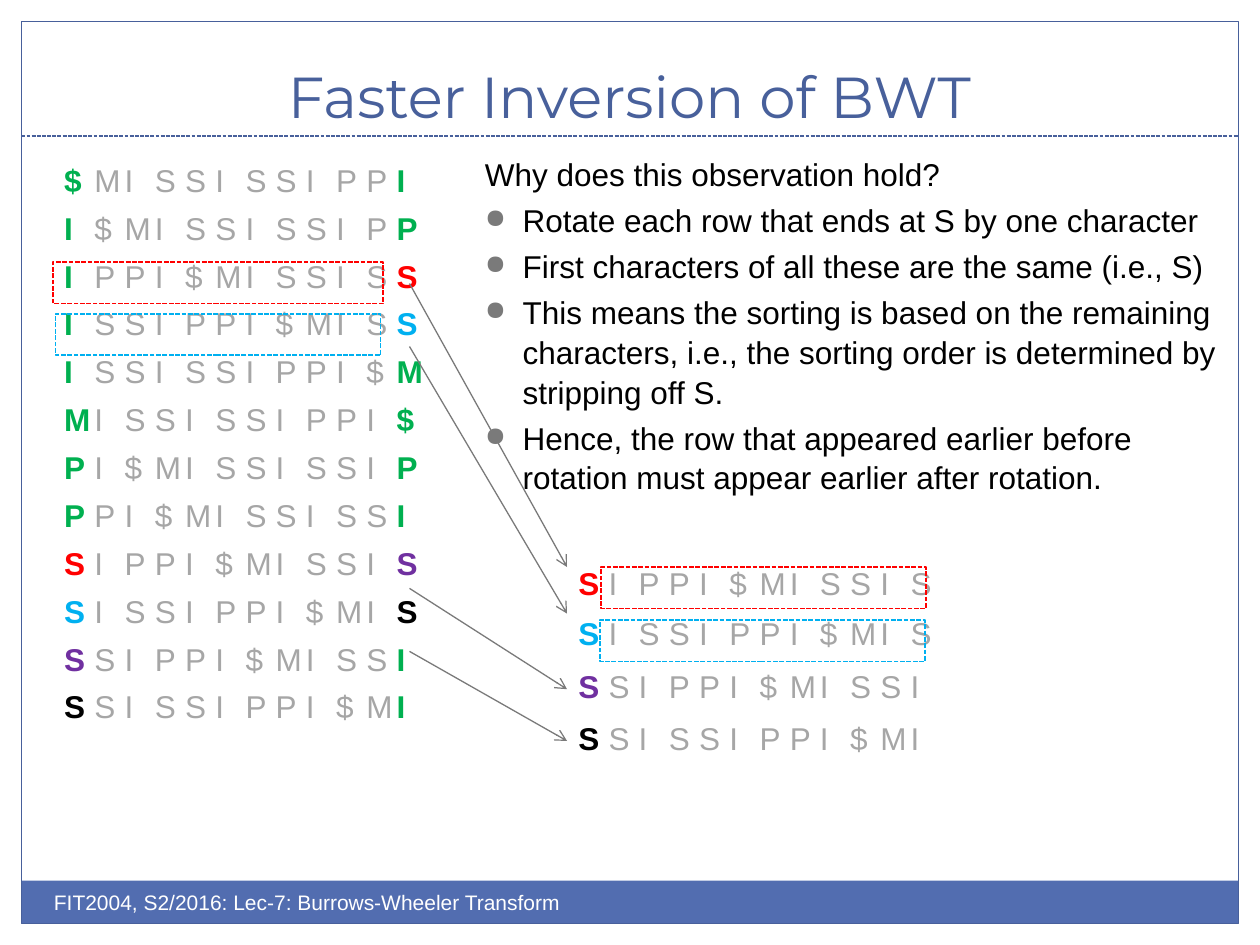
from dataclasses import dataclass
from itertools import cycle

from lxml.etree import SubElement
from pptx import Presentation
from pptx.dml.color import RGBColor
from pptx.enum.dml import MSO_LINE_DASH_STYLE as Dash
from pptx.enum.shapes import MSO_CONNECTOR, MSO_SHAPE
from pptx.enum.text import MSO_ANCHOR, PP_ALIGN
from pptx.oxml.ns import qn
from pptx.util import Inches, Pt


@dataclass(frozen=True)
class Theme:
    blue: str = "48609B"
    band: str = "526DB0"
    white: str = "FFFFFF"
    black: str = "000000"
    gray: str = "7A7A7A"
    faded: str = "A6A6A6"
    green: str = "00B050"
    red: str = "FF0000"
    sky: str = "00B0F0"
    purple: str = "7030A0"
    font: str = "Arial"
    title_font: str = "Montserrat"
    title_size: int = 33
    text_size: int = 18
    footer_size: int = 12
    thin: float = 0.75
    outline: float = 0.9


THEME = Theme()
S_COLORS = (THEME.red, THEME.sky, THEME.purple, THEME.black)
NO_STYLE_NO_GRID = "{2D5ABB26-0587-4C30-8999-92F81FD0307C}"
CELL_WIDTH, CELL_HEIGHT = 0.24, 0.38

WORD = "MISSISSIPPI$"
ROTATIONS = sorted(WORD[i:] + WORD[:i] for i in range(len(WORD)))
QUESTION = "Why does this observation hold?"
REASONS = (
    "Rotate each row that ends at S by one character",
    "First characters of all these are the same (i.e., S)",
    "This means the sorting is based on the remaining characters, i.e., "
    "the sorting order is determined by stripping off S.",
    "Hence, the row that appeared earlier before rotation must appear "
    "earlier after rotation.",
)


def rgb(color):
    return RGBColor.from_string(color)


def style_font(font, color, size=THEME.text_size, name=THEME.font, bold=False):
    font.name, font.size, font.bold = name, Pt(size), bold
    font.color.rgb = rgb(color)


def style_line(line, color, width, dash=None):
    line.color.rgb = rgb(color)
    line.width = Pt(width)
    if dash:
        line.dash_style = dash


def add_text(slide, box, text, color, **font_options):
    frame = slide.shapes.add_textbox(*map(Inches, box)).text_frame
    frame.word_wrap = True
    frame.text = text
    style_font(frame.paragraphs[0].runs[0].font, color, **font_options)
    return frame


def add_rectangle(slide, box, fill=None, line=None, width=THEME.thin, dash=None):
    rectangle = slide.shapes.add_shape(MSO_SHAPE.RECTANGLE, *map(Inches, box))
    rectangle.shadow.inherit = False
    if fill:
        rectangle.fill.solid()
        rectangle.fill.fore_color.rgb = rgb(fill)
    else:
        rectangle.fill.background()
    if line:
        style_line(rectangle.line, line, width, dash)
    else:
        rectangle.line.fill.background()


def add_line(slide, start, end, color, dash=None, arrow=False):
    line = slide.shapes.add_connector(
        MSO_CONNECTOR.STRAIGHT, *map(Inches, (*start, *end)))
    style_line(line.line, color, THEME.thin, dash)
    if arrow:
        SubElement(line.line._get_or_add_ln(), qn("a:tailEnd"), type="arrow")
    SubElement(line._element.spPr, qn("a:effectLst"))


def add_page_frame(slide, box):
    left, top, width, height = box
    band_height = 0.34
    add_rectangle(slide, (left, top + height - band_height, width, band_height),
                  fill=THEME.band)
    add_rectangle(slide, box, line=THEME.blue)
    add_line(slide, (left, 1.08), (left + width, 1.08), THEME.blue,
             Dash.SQUARE_DOT)
    add_text(slide, (0.33, 7.01, 5, 0.4),
             "FIT2004, S2/2016: Lec-7: Burrows-Wheeler Transform",
             THEME.white, size=THEME.footer_size)


def add_title(slide, box):
    title = add_text(slide, box, "Faster Inversion of BWT", THEME.blue,
                     size=THEME.title_size, name=THEME.title_font)
    title.vertical_anchor = MSO_ANCHOR.BOTTOM
    title.paragraphs[0].alignment = PP_ALIGN.CENTER


def add_bullet(paragraph):
    properties = paragraph._p.get_or_add_pPr()
    properties.set("marL", str(Inches(0.3)))
    properties.set("indent", str(-Inches(0.3)))
    color = SubElement(properties, qn("a:buClr"))
    SubElement(color, qn("a:srgbClr"), val=THEME.gray)
    SubElement(properties, qn("a:buSzPct"), val="85000")
    SubElement(properties, qn("a:buChar"), char="●")


def add_explanation(slide, box):
    frame = add_text(slide, box, QUESTION, THEME.black)
    frame.paragraphs[0].line_spacing = 1.05
    for reason in REASONS:
        paragraph = frame.add_paragraph()
        paragraph.text = reason
        add_bullet(paragraph)
        paragraph.line_spacing = 1.05
        paragraph.space_before = Pt(3.6)
        style_font(paragraph.runs[0].font, THEME.black)


def add_letter_table(slide, left, top, rows, colors):
    """Place one letter per cell; colors maps (row, column) to a bold colour."""
    columns = len(rows[0])
    table = slide.shapes.add_table(
        len(rows), columns, Inches(left), Inches(top),
        Inches(CELL_WIDTH * columns), Inches(CELL_HEIGHT * len(rows))).table
    table.first_row = table.horz_banding = False
    table._tbl.tblPr.find(qn("a:tableStyleId")).text = NO_STYLE_NO_GRID
    for r, row in enumerate(rows):
        for c, letter in enumerate(row):
            cell = table.cell(r, c)
            cell.fill.background()
            cell.margin_left = cell.margin_right = Inches(0.09)
            cell.margin_top = cell.margin_bottom = Inches(0.04)
            cell.vertical_anchor = MSO_ANCHOR.MIDDLE
            cell.text = letter
            paragraph = cell.text_frame.paragraphs[0]
            paragraph.alignment = PP_ALIGN.CENTER
            style_font(paragraph.runs[0].font, colors.get((r, c), THEME.faded),
                       bold=(r, c) in colors)


def add_rotations(slide, left, top):
    """Sorted rotations: the nth S of the first and last columns share a colour."""
    colors = {}
    for column in (0, len(WORD) - 1):
        s_colors = cycle(S_COLORS)
        for r, row in enumerate(ROTATIONS):
            colors[r, column] = next(s_colors) if row[column] == "S" else THEME.green
    add_letter_table(slide, left, top, ROTATIONS, colors)


def add_rotated_rows(slide, left, tops):
    rows_from_s = [row for row in ROTATIONS if row[0] == "S"]
    for row, color, top in zip(rows_from_s, S_COLORS, tops):
        add_letter_table(slide, left, top, [row], {(0, 0): color})


def add_row_arrows(slide, left, right, heights):
    for start, end in heights:
        add_line(slide, (left, start), (right, end), THEME.gray, arrow=True)


def add_row_outlines(slide, outlines):
    for color, *box in outlines:
        add_rectangle(slide, box, line=color, width=THEME.outline,
                      dash=Dash.SQUARE_DOT)


def main():
    deck = Presentation()
    deck.slide_width, deck.slide_height = Inches(10), Inches(7.5)
    slide = deck.slides.add_slide(deck.slide_layouts[6])
    add_page_frame(slide, (0.17, 0.17, 9.66, 7.16))
    add_title(slide, (0.33, 0.25, 9.33, 0.83))
    add_explanation(slide, (3.75, 1.17, 6, 2.64))
    add_rotations(slide, 0.42, 1.25)
    add_rotated_rows(slide, 4.5, (4.45, 4.85, 5.27, 5.68))
    add_row_arrows(slide, 3.25, 4.5, (
        (2.25, 4.5), (2.75, 4.87), (4.67, 5.47), (5.17, 5.88)))
    add_row_outlines(slide, (
        (THEME.red, 4.77, 4.5, 2.58, 0.33),
        (THEME.red, 0.42, 2.08, 2.62, 0.33),
        (THEME.sky, 4.76, 4.92, 2.58, 0.33),
        (THEME.sky, 0.44, 2.49, 2.58, 0.33)))
    deck.save("out.pptx")


if __name__ == "__main__":
    main()
